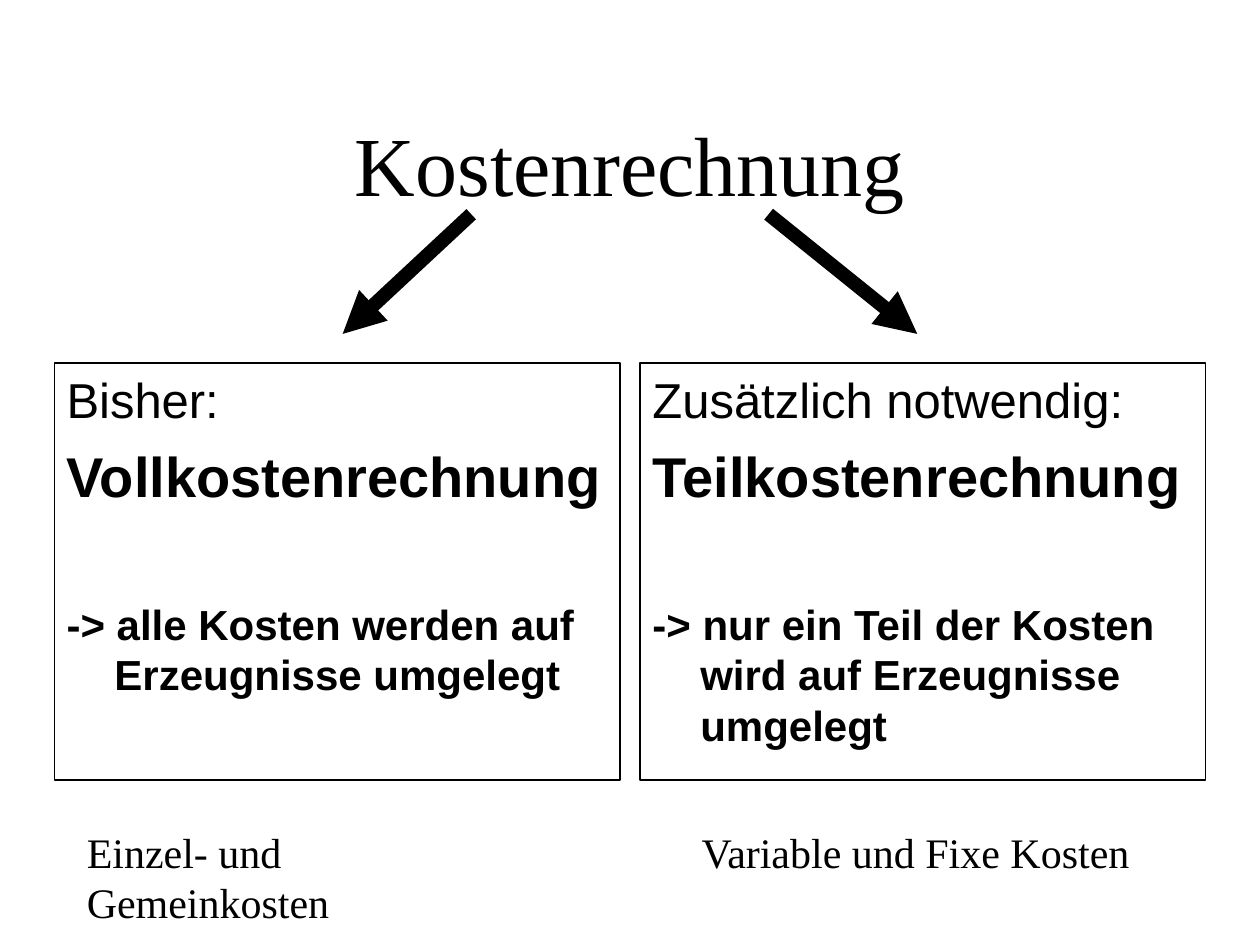
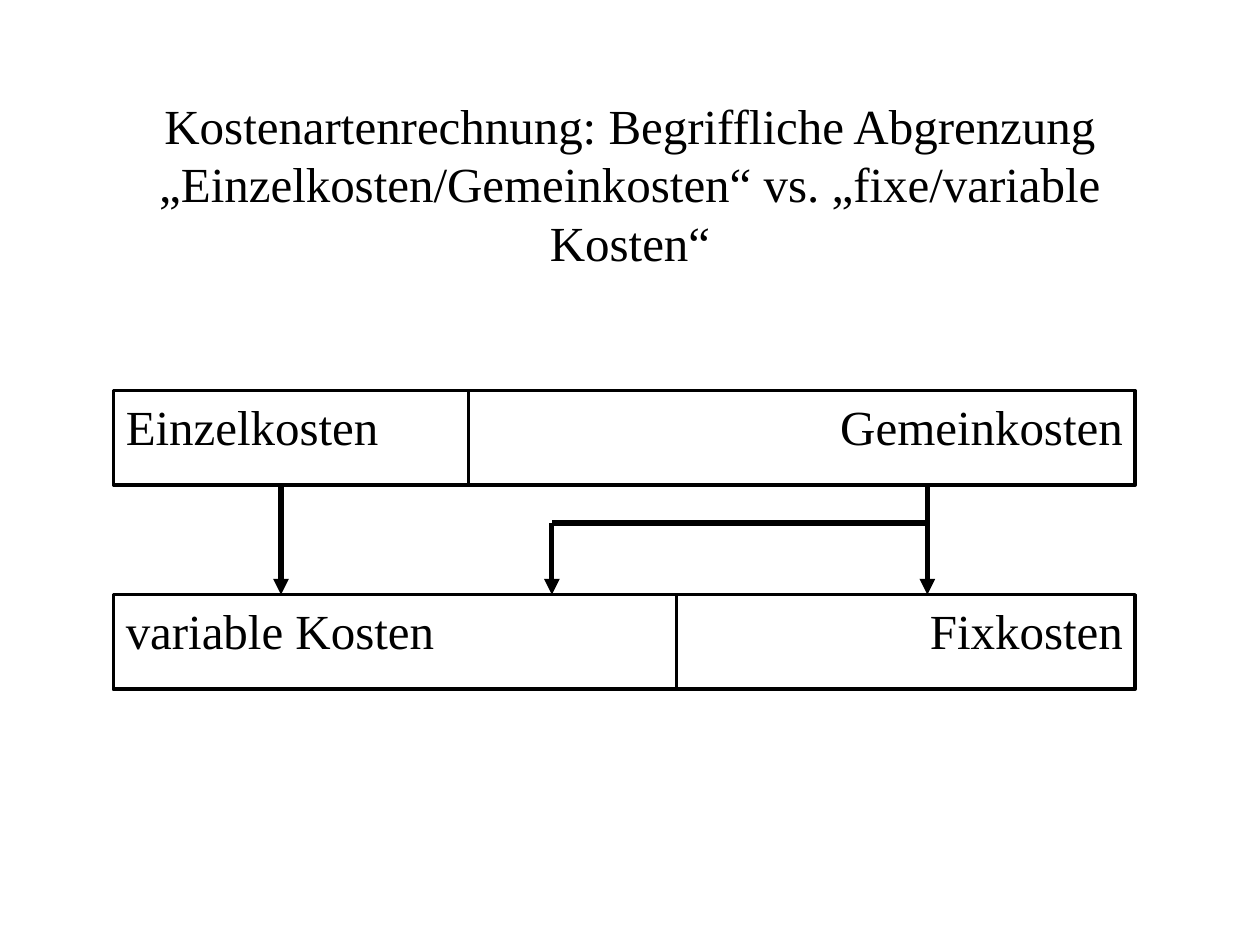
"""Build two slides on full and partial costing."""
from lxml import etree
from pptx import Presentation
from pptx.dml.color import RGBColor
from pptx.enum.shapes import MSO_CONNECTOR, MSO_SHAPE
from pptx.enum.text import MSO_ANCHOR, MSO_AUTO_SIZE, PP_ALIGN
from pptx.oxml.ns import qn
from pptx.util import Inches, Pt

BLACK = RGBColor(0x00, 0x00, 0x00)
WHITE = RGBColor(0xFF, 0xFF, 0xFF)
SERIF, SANS = "Times New Roman", "Arial"
LEFT, CENTER, RIGHT = PP_ALIGN.LEFT, PP_ALIGN.CENTER, PP_ALIGN.RIGHT
TOP, MIDDLE = MSO_ANCHOR.TOP, MSO_ANCHOR.MIDDLE
NO_FIT = MSO_AUTO_SIZE.NONE
RECTANGLE, STRAIGHT = MSO_SHAPE.RECTANGLE, MSO_CONNECTOR.STRAIGHT
TITLE_ONLY = 5

OVERVIEW_TITLE = ("Kostenrechnung", 48, (0.75, 0.67, 8.5, 1.25))
METHODS = [
    ("Bisher:", "Vollkostenrechnung",
     "-> alle Kosten werden auf Erzeugnisse umgelegt"),
    ("Zusätzlich notwendig:", "Teilkostenrechnung",
     "-> nur ein Teil der Kosten wird auf Erzeugnisse umgelegt"),
]
METHOD_STYLES = [
    (0, {"size": Pt(28), "bold": False}),
    (8, {"size": Pt(32), "bold": True}),
    (51, {"size": Pt(24), "bold": True}),
]
METHOD_LEFT, METHOD_TOP, METHOD_WIDTH, METHOD_HEIGHT = 0.43, 2.88, 4.49, 3.31
METHOD_STEP = 4.65
HANGING = 0.38
METHOD_ARROWS = [((3.74, 1.7), (2.72, 2.65)), ((6.1, 1.7), (7.28, 2.65))]
CAPTIONS = [
    ("Einzel- und Gemeinkosten", (0.59, 6.51, 3.75, 0.5)),
    ("Variable und Fixe Kosten", (5.47, 6.51, 3.63, 0.5)),
]

TERMS_TITLE = (
    "Kostenartenrechnung: Begriffliche Abgrenzung "
    "„Einzelkosten/Gemeinkosten“ vs. „fixe/variable Kosten“",
    28, (0.5, 0.83, 9, 1.25))
BAR_LEFT, BAR_RIGHT, BAR_HEIGHT = 0.9, 9.01, 0.75
BARS = [
    (3.1, 3.72, "Einzelkosten", "Gemeinkosten"),
    (4.72, 5.37, "variable Kosten", "Fixkosten"),
]
FLOW_START, FLOW_BRANCH, FLOW_END = 3.85, 4.15, 4.72
DIRECT_X, MIXED_X, FIXED_X = 2.23, 4.38, 7.36
FLOWS = [
    ((DIRECT_X, FLOW_START), (DIRECT_X, FLOW_END), True),
    ((FIXED_X, FLOW_START), (FIXED_X, FLOW_END), True),
    ((FIXED_X, FLOW_BRANCH), (MIXED_X, FLOW_BRANCH), False),
    ((MIXED_X, FLOW_BRANCH), (MIXED_X, FLOW_END), True),
]


def set_attributes(target, values):
    for name, value in values.items():
        setattr(target, name, value)


def write(paragraph, text, align=LEFT, **values):
    paragraph.alignment = align
    span = paragraph.add_run()
    span.text = text
    set_attributes(span.font, {"name": SERIF, "size": Pt(28), **values})
    span.font.color.rgb = BLACK


def add_page(deck, title, size, area):
    page = deck.slides.add_slide(deck.slide_layouts[TITLE_ONLY])
    box = page.shapes.title
    set_attributes(box, dict(zip(("left", "top", "width", "height"), map(Inches, area))))
    frame = box.text_frame
    set_attributes(frame, {"word_wrap": True, "auto_size": NO_FIT, "vertical_anchor": MIDDLE})
    write(frame.paragraphs[0], title, CENTER, size=Pt(size))
    return page


def add_box(page, area, line_width, fill=None):
    box = page.shapes.add_shape(RECTANGLE, *map(Inches, area))
    box.shadow.inherit = False
    if fill is None:
        box.fill.background()
    else:
        box.fill.solid()
        box.fill.fore_color.rgb = fill
    box.line.color.rgb = BLACK
    box.line.width = Pt(line_width)
    set_attributes(box.text_frame, {"word_wrap": True, "vertical_anchor": TOP})
    return box.text_frame


def add_line(page, start, end, width, arrow=True):
    line = page.shapes.add_connector(STRAIGHT, *map(Inches, start + end))
    line.line.color.rgb = BLACK
    line.line.width = Pt(width)
    properties = line._element.spPr
    if arrow:
        etree.SubElement(properties.get_or_add_ln(), qn("a:tailEnd"), type="triangle")
    etree.SubElement(properties, qn("a:effectLst"))


def add_method(page, left, texts):
    frame = add_box(page, (left, METHOD_TOP, METHOD_WIDTH, METHOD_HEIGHT), 0.75)
    for index, (text, (space, style)) in enumerate(zip(texts, METHOD_STYLES)):
        para = frame.add_paragraph() if index else frame.paragraphs[0]
        properties = para._p.get_or_add_pPr()
        properties.set("marL", str(Inches(HANGING)))
        properties.set("indent", str(-Inches(HANGING)))
        para.space_before = Pt(space)
        write(para, text, name=SANS, **style)


def build_overview(deck):
    page = add_page(deck, *OVERVIEW_TITLE)
    for column, texts in enumerate(METHODS):
        add_method(page, METHOD_LEFT + column * METHOD_STEP, texts)
    for start, end in METHOD_ARROWS:
        add_line(page, start, end, 8)
    for text, area in CAPTIONS:
        frame = page.shapes.add_textbox(*map(Inches, area)).text_frame
        frame.word_wrap = False
        write(frame.paragraphs[0], text, size=Pt(24))


def build_terms(deck):
    page = add_page(deck, *TERMS_TITLE)
    for top, split, first, second in BARS:
        for left, right, text, align in ((BAR_LEFT, split, first, LEFT),
                                         (split, BAR_RIGHT, second, RIGHT)):
            frame = add_box(page, (left, top, right - left, BAR_HEIGHT), 2, WHITE)
            write(frame.paragraphs[0], text, align)
    for start, end, arrow in FLOWS:
        add_line(page, start, end, 3, arrow)


def main():
    deck = Presentation()
    deck.slide_width, deck.slide_height = Inches(10), Inches(7.5)
    build_overview(deck)
    build_terms(deck)
    deck.save("out.pptx")


if __name__ == "__main__":
    main()
